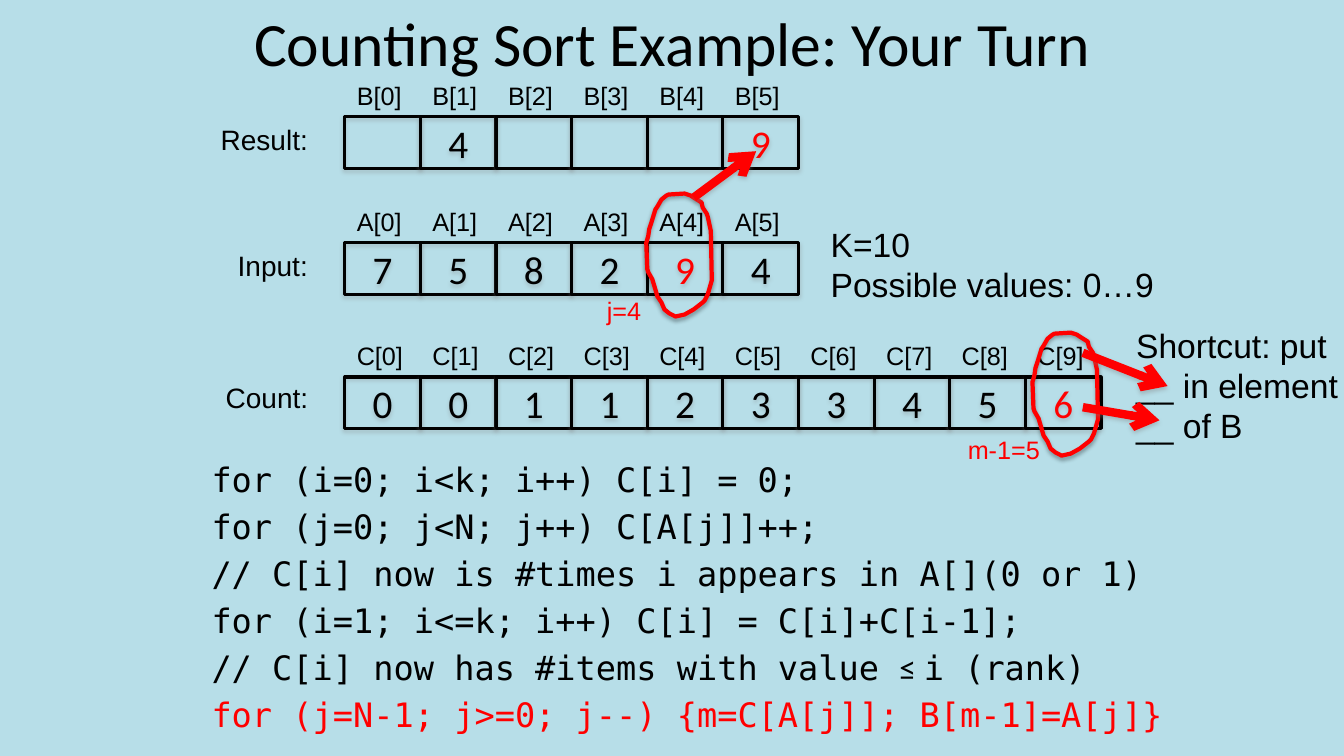
from dataclasses import dataclass
from typing import Any

from lxml import etree
from pptx import Presentation
from pptx import util as u
from pptx.dml.color import RGBColor
from pptx.enum import shapes, text
from pptx.oxml import parse_xml
from pptx.oxml.ns import nsdecls, qn

COLORS = {"bg": "B7DEE8", "ink": "000000", "red": "FF0000", "gray": "808080"}
CELL_LEFT, CELL_W, CELL_H = 3.42, 0.75, 0.51
LABEL_W = 0.68

# Hand-drawn ring, relative to its top left corner
RING = [
    (0.55, 0.09), (0.47, 0.04), (0.44, 0.02), (0.38, 0), (0.22, 0.01), (0.2, 0.02),
    (0.15, 0.06), (0.11, 0.13), (0.09, 0.16), (0.05, 0.29), (0.03, 0.35), (0.02, 0.42),
    (0, 0.49), (0.01, 0.75), (0.02, 0.78), (0.06, 0.85), (0.09, 0.95), (0.11, 1.02),
    (0.15, 1.08), (0.18, 1.15), (0.23, 1.19), (0.29, 1.22), (0.38, 1.2), (0.47, 1.15),
    (0.56, 1.08), (0.58, 1.06), (0.61, 1), (0.63, 0.93), (0.65, 0.86), (0.64, 0.37),
    (0.61, 0.23), (0.6, 0.2), (0.56, 0.14), (0.55, 0.1),
]


@dataclass
class ArrayRow:
    name: str
    values: list[str]
    red_index: int
    top: float
    caption: str
    caption_left: float
    caption_top: float
    caption_width: float


@dataclass
class Ring:
    left: float
    top: float
    note: str
    note_left: float
    note_top: float
    note_width: float


@dataclass
class Arrow:
    start: tuple[float, float]
    end: tuple[float, float]


ROWS = [
    ArrayRow("B", ["", "4", "", "", "", "9"], 5, 0.75, "Result:", 2.09, 1.17, 1.07),
    ArrayRow("A", list("758294"), 4, 2, "Input:", 2.26, 2.42, 0.9),
    ArrayRow("C", list("0011233456"), 9, 3.33, "Count:", 2.14, 3.73, 1.03),
]
RINGS = [
    Ring(10.24, 3.3, "m-1=5", 9.5, 4.26, 0.92),
    Ring(6.41, 1.92, "j=4", 5.92, 2.88, 0.56),
]
TRANSFER_ARROW = Arrow((6.88, 1.96), (7.5, 1.5))
SHORTCUT_ARROWS = [Arrow((10.74, 3.5), (11.58, 3.83)), Arrow((10.74, 4.04), (11.5, 4.17))]
CODE = [
    "for (i=0; i<k; i++) C[i] = 0;",
    "for (j=0; j<N; j++) C[A[j]]++;",
    "// C[i] now is #times i appears in A[](0 or 1)",
    "for (i=1; i<=k; i++) C[i] = C[i]+C[i-1];",
    "// C[i] now has #items with value ≤ i (rank)",
    "for (j=N-1; j>=0; j--) {m=C[A[j]]; B[m-1]=A[j]}",
]


def rgb(color: str) -> RGBColor:
    return RGBColor.from_string(COLORS[color])


def set_font(font: Any, size: float, name: str, color: str = "ink") -> None:
    font.size, font.name = u.Pt(size), name
    font.color.rgb = rgb(color)


def set_line(s: Any, color: str, width: float) -> None:
    s.line.color.rgb = rgb(color)
    s.line.width = u.Pt(width)


def add_shadow(s: Any, color: str, alpha: int) -> None:
    """Append a soft downward shadow; call after fill and line are set."""
    s._element.spPr.append(parse_xml(
        f'<a:effectLst {nsdecls("a")}><a:outerShdw blurRad="{u.Pt(3.1)}" dist="{u.Pt(1.8)}" '
        f'dir="5400000" rotWithShape="0"><a:srgbClr val="{COLORS[color]}">'
        f'<a:alpha val="{alpha * 1000}"/></a:srgbClr></a:outerShdw></a:effectLst>'))


def add_text(parent: Any, lines: list[str], left: float, top: float, width: float,
             height: float, size: float, font: str = "Arial", color: str = "ink",
             wrap: bool = False, grow: bool = True) -> Any:
    s = parent.add_textbox(*map(u.Inches, (left, top, width, height)))
    tf = s.text_frame
    tf.word_wrap = wrap
    tf.auto_size = text.MSO_AUTO_SIZE.SHAPE_TO_FIT_TEXT if grow else text.MSO_AUTO_SIZE.NONE
    for i, line in enumerate(lines):
        p = tf.paragraphs[0] if i == 0 else tf.add_paragraph()
        p.text = line
        set_font(p.font, size, font, color)
    return tf


def add_row(parent: Any, row: ArrayRow) -> None:
    for i, value in enumerate(row.values):
        left = CELL_LEFT + i * CELL_W
        s = parent.add_shape(shapes.MSO_SHAPE.RECTANGLE,
                             *map(u.Inches, (left, row.top + 0.41, CELL_W, CELL_H)))
        s.fill.background()
        set_line(s, "ink", 2.25)
        add_shadow(s, "gray", 35)
        if value:
            s.text_frame.vertical_anchor = text.MSO_ANCHOR.MIDDLE
            p = s.text_frame.paragraphs[0]
            p.text, p.alignment = value, text.PP_ALIGN.CENTER
            set_font(p.font, 28, "Calibri", "red" if i == row.red_index else "ink")
        add_text(parent, [f"{row.name}[{i}]"], left + 0.02, row.top, LABEL_W, 0.4, 18)
    add_text(parent, [row.caption], row.caption_left, row.caption_top,
             row.caption_width, 0.44, 20)


def add_ring(parent: Any, ring: Ring) -> None:
    points = [(u.Inches(ring.left + x), u.Inches(ring.top + y)) for x, y in RING]
    builder = parent.build_freeform(*points[0])
    builder.add_line_segments(points[1:], close=True)
    s = builder.convert_to_shape()
    s.fill.background()
    set_line(s, "red", 3)
    add_shadow(s, "ink", 35)
    add_text(parent, [ring.note], ring.note_left, ring.note_top,
             ring.note_width, 0.4, 18, color="red")


def add_arrow(parent: Any, arrow: Arrow) -> None:
    s = parent.add_connector(shapes.MSO_CONNECTOR.STRAIGHT,
                             *map(u.Inches, arrow.start + arrow.end))
    set_line(s, "red", 6)
    etree.SubElement(s.line._get_or_add_ln(), qn("a:tailEnd"), type="arrow")
    add_shadow(s, "gray", 38)


def add_code(parent: Any) -> None:
    tf = add_text(parent, CODE, 2, 4.5, 9.67, 2.92, 24, "DejaVu Sans Mono",
                  wrap=True, grow=False)
    for p in tf.paragraphs[1:]:
        p.space_before = u.Pt(4.8)
    set_font(tf.paragraphs[-1].font, 24, "DejaVu Sans Mono", "red")
    # The comparison sign has its own font
    p = tf.paragraphs[4]
    before, after = CODE[4].split("≤ ")
    p.runs[0].text = before
    for part, font in (("≤ ", "Calibri"), (after, "DejaVu Sans Mono")):
        r = p.add_run()
        r.text = part
        set_font(r.font, 24, font)


def main() -> None:
    prs = Presentation()
    prs.slide_width, prs.slide_height = u.Inches(13.33), u.Inches(7.5)
    slide = prs.slides.add_slide(prs.slide_layouts[6])
    slide.background.fill.solid()
    slide.background.fill.fore_color.rgb = rgb("bg")
    canvas = slide.shapes

    # Title and code
    tf = add_text(canvas, ["Counting Sort Example: Your Turn"], 2.17, 0, 9, 0.83, 44,
                  "Calibri", wrap=True, grow=False)
    tf.vertical_anchor = text.MSO_ANCHOR.MIDDLE
    tf.paragraphs[0].alignment = text.PP_ALIGN.CENTER
    add_code(canvas)

    # Arrays and the rings around the current elements
    for row in ROWS:
        add_row(canvas.add_group_shape().shapes, row)
    for ring in RINGS:
        add_ring(canvas.add_group_shape().shapes, ring)

    # Arrows and remarks
    add_arrow(canvas, TRANSFER_ARROW)
    add_text(canvas, ["K=10", "Possible values: 0…9"], 8.14, 2.17, 3.44, 0.91, 24)
    add_text(canvas, ["Shortcut: put __ in element __ of B"], 11.17, 3.17, 2.29, 1.31, 24,
             wrap=True)
    for arrow in SHORTCUT_ARROWS:
        add_arrow(canvas, arrow)

    prs.save("out.pptx")


if __name__ == "__main__":
    main()
